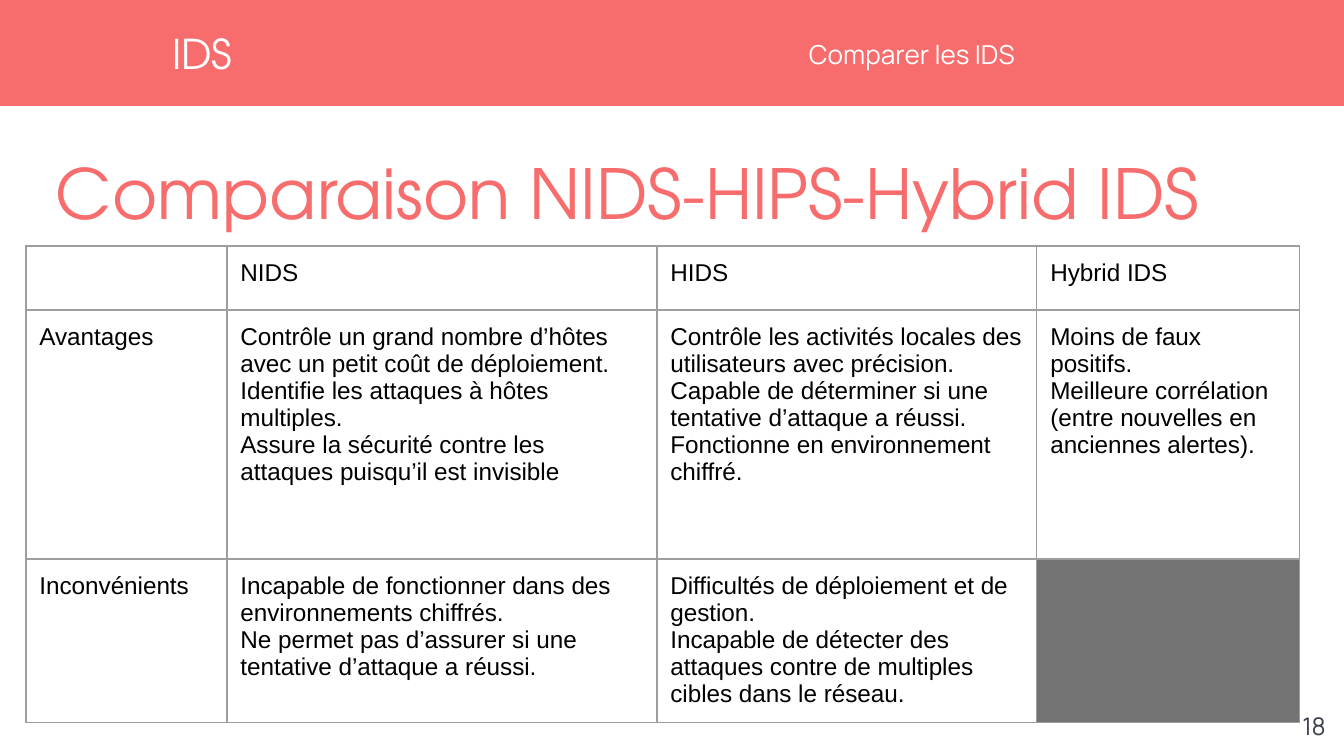
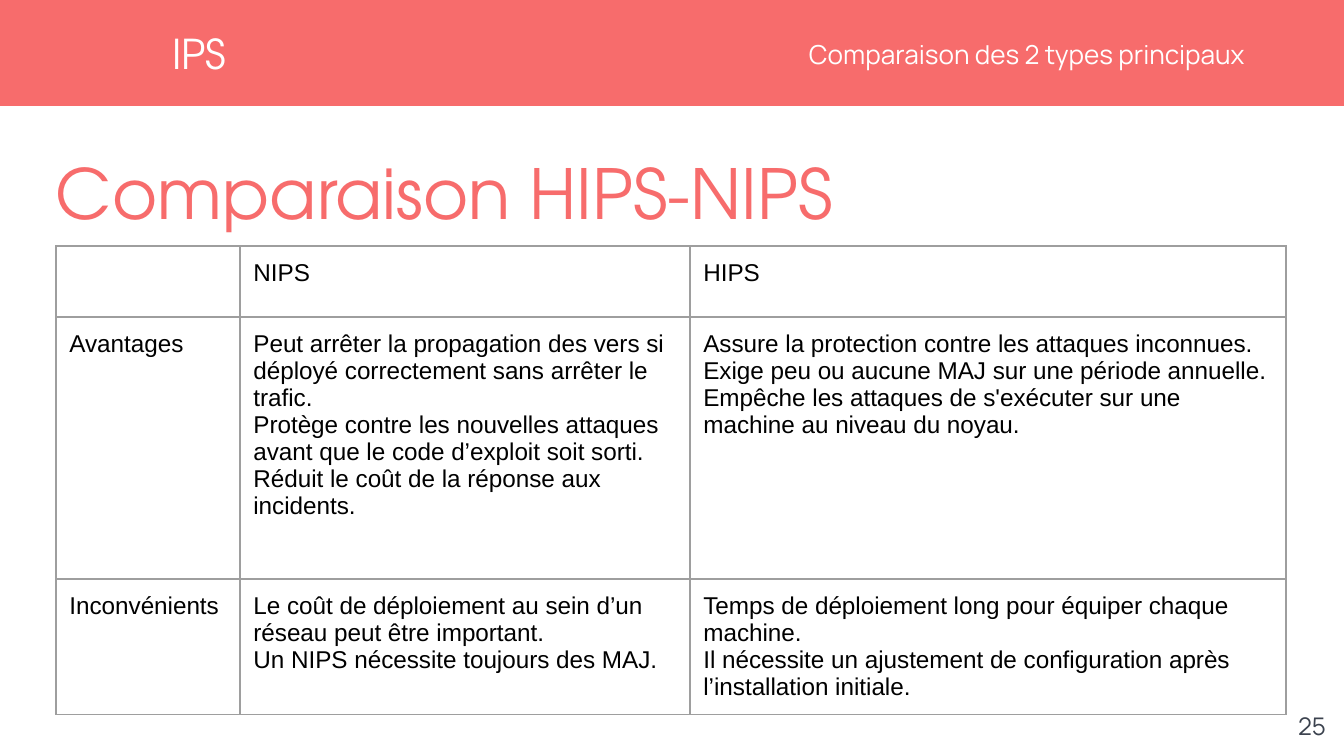
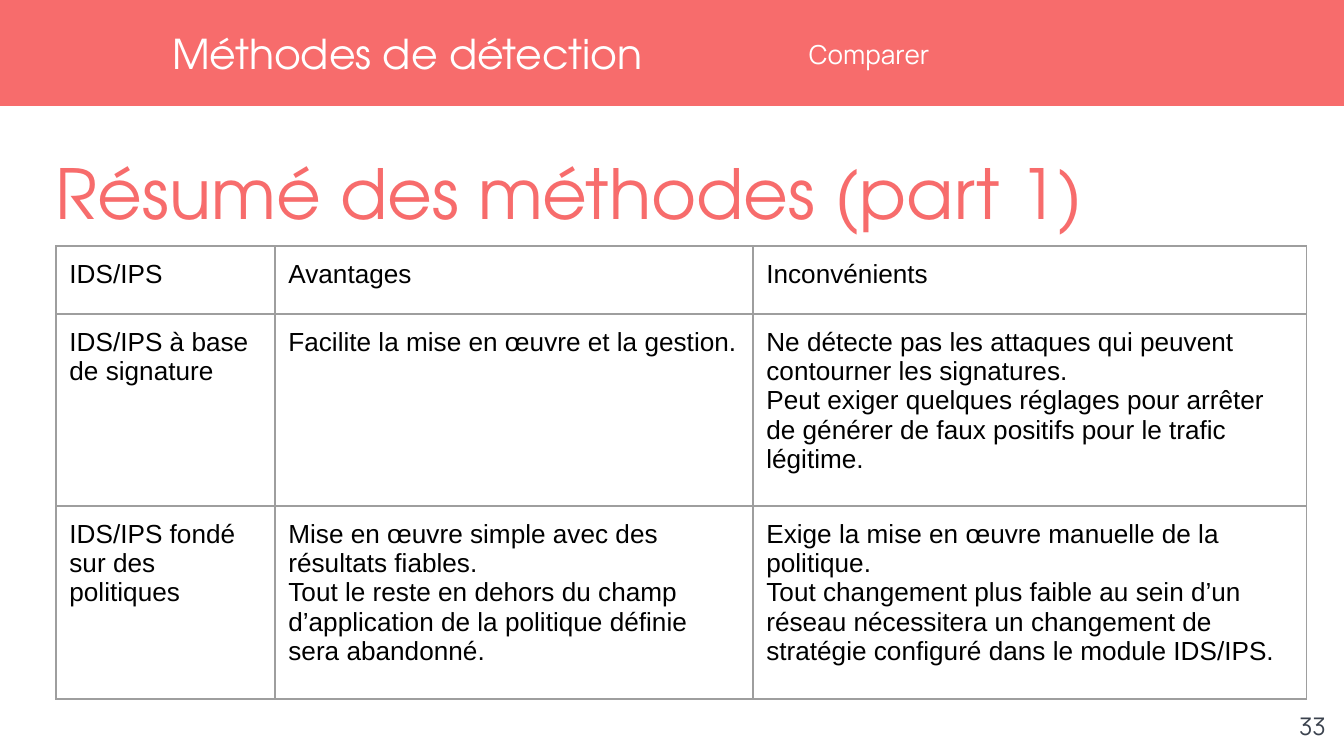
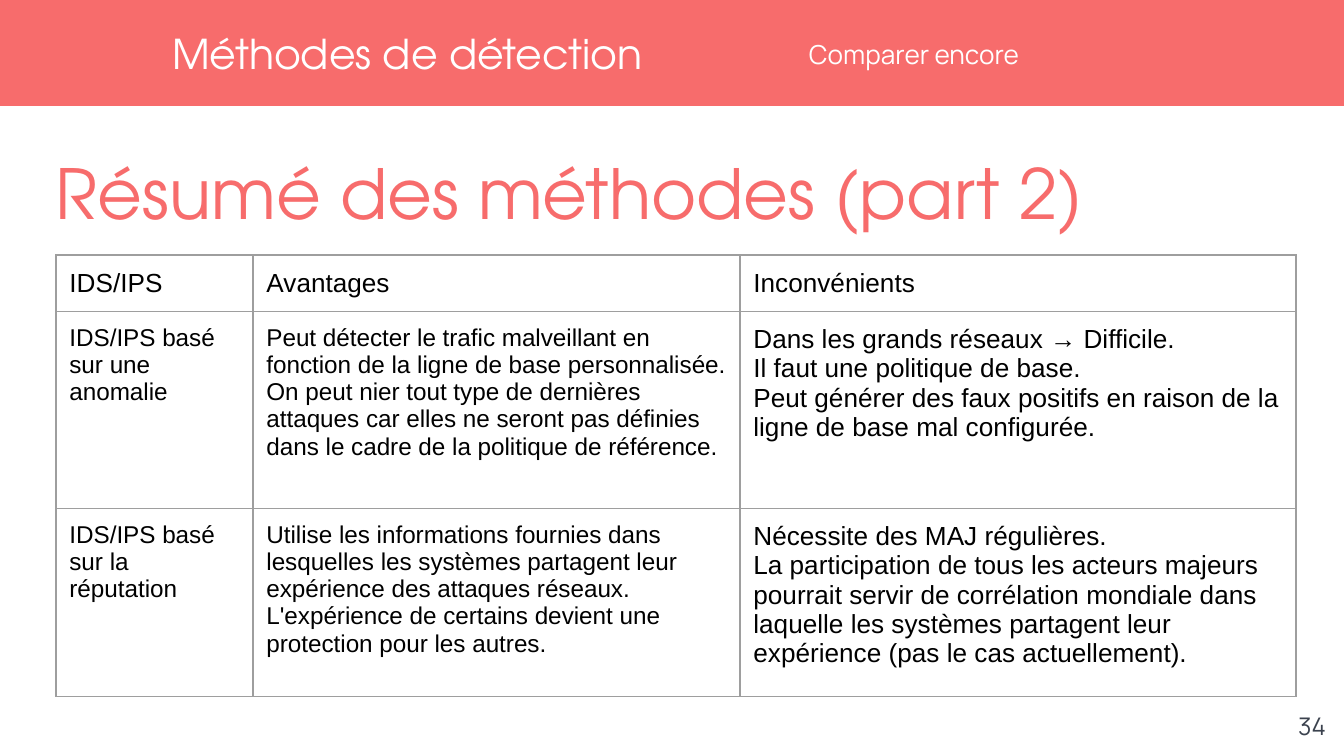
from dataclasses import dataclass

import lxml.etree
import pptx
import pptx.dml.color
import pptx.enum.shapes
import pptx.enum.text
import pptx.oxml.ns
import pptx.util

EMU_PER_PX = 914400 / 134.4
COMPARISON_LAYOUT = 4
TITLE, TOPIC, LEFT_CONTENT, CAPTION, RIGHT_CONTENT = range(5)
ANCHOR = pptx.enum.text.MSO_ANCHOR
ALIGN = pptx.enum.text.PP_ALIGN


@dataclass(frozen=True)
class Theme:
    coral: str = "F76C6C"
    white: str = "FFFFFF"
    black: str = "000000"
    slate: str = "3B424E"
    rule: str = "9E9E9E"
    blocked: str = "737373"
    display: str = "TeX Gyre Adventor"
    sans: str = "Manrope"
    table: str = "Arial"
    title_size: int = 37
    topic_size: int = 22
    caption_size: int = 14
    number_size: int = 13
    large: int = 14
    small: int = 13
    rule_width: float = 0.75
    cell_inset: float = 0.1


THEME = Theme()
PAGE = (0, 0, 1344, 756)
BLOCKED = None  # marks a cell that is filled and holds no text


def px(length):
    return pptx.util.Emu(round(length * EMU_PER_PX))


def rgb(code):
    return pptx.dml.color.RGBColor.from_string(code)


def apply(target, formats):
    for name, value in formats.items():
        setattr(target, name, value)


def place(shape, box):
    apply(shape, dict(zip(("left", "top", "width", "height"), map(px, box))))


def set_insets(target, inset):
    apply(target, {f"margin_{side}": pptx.util.Inches(inset)
                   for side in ("left", "right", "top", "bottom")})


def style_text(frame, font, size, color, align=ALIGN.LEFT):
    for para in frame.paragraphs:
        apply(para, {"alignment": align, "space_before": pptx.util.Pt(0)})
        for span in para.runs:
            apply(span.font, {"name": font, "size": pptx.util.Pt(size), "bold": False})
            span.font.color.rgb = rgb(color)


def write(shape, box, text, font, size, color, anchor=ANCHOR.TOP, inset=0, align=ALIGN.LEFT):
    place(shape, box)
    frame = shape.text_frame
    frame.text = text
    apply(frame, {"word_wrap": True, "vertical_anchor": anchor,
                  "auto_size": pptx.enum.text.MSO_AUTO_SIZE.NONE})
    set_insets(frame, inset)
    style_text(frame, font, size, color, align)


def add_band_to_layout(page):
    """Draw the header band and move it behind everything on the shared layout."""
    band = page.shapes.add_shape(pptx.enum.shapes.MSO_SHAPE.RECTANGLE, 0, 0, 1, 1)
    place(band, (-3, 0, 1350, 106))
    band.shadow.inherit = False
    band.fill.solid()
    band.fill.fore_color.rgb = rgb(THEME.coral)
    band.line.fill.background()
    page.slide_layout.shapes.element.insert(2, band.element)


def header(page, box, topic, caption):
    left, top, width, height = box
    holders = page.placeholders
    write(holders[TOPIC], (left + 172, top, 630, height), topic,
          THEME.display, THEME.topic_size, THEME.white, ANCHOR.MIDDLE)
    write(holders[CAPTION], (left + 809, top + 28, 516, 52), caption,
          THEME.sans, THEME.caption_size, THEME.white, ANCHOR.MIDDLE)


def page_number(page, box, number):
    left, top, width, height = box
    holder = page.shapes.add_textbox(0, 0, 1, 1)
    write(holder, (left + width - 86, top + height - 58, 81, 58), str(number), THEME.sans,
          THEME.number_size, THEME.slate, inset=THEME.cell_inset, align=ALIGN.RIGHT)


def rule_cell(cell):
    """Draw the four borders of a cell."""
    properties = cell._tc.get_or_add_tcPr()
    qn = pptx.oxml.ns.qn
    for side in ("L", "R", "T", "B"):
        line = lxml.etree.SubElement(properties, qn(f"a:ln{side}"),
                                     w=str(pptx.util.Pt(THEME.rule_width)))
        fill = lxml.etree.SubElement(line, qn("a:solidFill"))
        lxml.etree.SubElement(fill, qn("a:srgbClr"), val=THEME.rule)


def fill_cell(cell, text, size):
    rule_cell(cell)
    if text is BLOCKED:
        cell.fill.solid()
        cell.fill.fore_color.rgb = rgb(THEME.blocked)
    else:
        cell.fill.background()
    if text:
        cell.text = text
        set_insets(cell, THEME.cell_inset)
        style_text(cell.text_frame, THEME.table, size, THEME.black)


def comparison_table(page, origin, columns, rows, cells, header_size, column_sizes):
    box = (*origin, sum(columns), sum(rows))
    table = page.shapes.add_table(len(rows), len(columns), *map(px, box)).table
    apply(table, {"first_row": False, "horz_banding": False})
    for column, width in zip(table.columns, columns):
        column.width = px(width)
    for index, (row, height) in enumerate(zip(table.rows, rows)):
        row.height = px(height)
        for cell, text, size in zip(row.cells, cells[index], column_sizes):
            fill_cell(cell, text, size if index else header_size)


def comparison_page(page, number, topic, caption, title, **table):
    for unused in (LEFT_CONTENT, RIGHT_CONTENT):
        holder = page.placeholders[unused].element
        holder.getparent().remove(holder)
    header(page, (0, 0, PAGE[2], 106), topic, caption)
    write(page.shapes.title, (56, 150, 1245, 78), title,
          THEME.display, THEME.title_size, THEME.coral)
    page_number(page, PAGE, number)
    comparison_table(page, **table)


PAGES = [
    dict(
        number=18, topic="IDS", caption="Comparer les IDS",
        title="Comparaison NIDS-HIPS-Hybrid IDS",
        origin=(26, 246), columns=(201, 430, 380, 263), rows=(64, 249, 164),
        header_size=THEME.small, column_sizes=[THEME.small] * 4,
        cells=[
            ("", "NIDS", "HIDS", "Hybrid IDS"),
            ("Avantages",
             "Contrôle un grand nombre d’hôtes avec un petit coût de déploiement.\n"
             "Identifie les attaques à hôtes multiples.\n"
             "Assure la sécurité contre les attaques puisqu’il est invisible",
             "Contrôle les activités locales des utilisateurs avec précision.\n"
             "Capable de déterminer si une tentative d’attaque a réussi.\n"
             "Fonctionne en environnement chiffré.",
             "Moins de faux positifs.\n"
             "Meilleure corrélation (entre nouvelles en anciennes alertes)."),
            ("Inconvénients",
             "Incapable de fonctionner dans des environnements chiffrés.\n"
             "Ne permet pas d’assurer si une tentative d’attaque a réussi.",
             "Difficultés de déploiement et de gestion.\n"
             "Incapable de détecter des attaques contre de multiples cibles dans le réseau.",
             BLOCKED),
        ]),
    dict(
        number=25, topic="IPS", caption="Comparaison des 2 types principaux",
        title="Comparaison HIPS-NIPS",
        origin=(56, 246), columns=(184, 450, 596), rows=(71, 262, 135),
        header_size=THEME.small, column_sizes=[THEME.small] * 3,
        cells=[
            ("", "NIPS", "HIPS"),
            ("Avantages",
             "Peut arrêter la propagation des vers si déployé correctement sans arrêter "
             "le trafic.\n"
             "Protège contre les nouvelles attaques avant que le code d’exploit soit sorti.\n"
             "Réduit le coût de la réponse aux incidents.",
             "Assure la protection contre les attaques inconnues.\n"
             "Exige peu ou aucune MAJ sur une période annuelle.\n"
             "Empêche les attaques de s'exécuter sur une machine au niveau du noyau."),
            ("Inconvénients",
             "Le coût de déploiement au sein d’un réseau peut être important.\n"
             "Un NIPS nécessite toujours des MAJ.",
             "Temps de déploiement long pour équiper chaque machine.\n"
             "Il nécessite un ajustement de configuration après l’installation initiale."),
        ]),
    dict(
        number=33, topic="Méthodes de détection", caption="Comparer",
        title="Résumé des méthodes (part 1)",
        origin=(56, 246), columns=(219, 478, 554), rows=(68, 192, 193),
        header_size=THEME.large, column_sizes=[THEME.large] * 3,
        cells=[
            ("IDS/IPS", "Avantages", "Inconvénients"),
            ("IDS/IPS à base de signature",
             "Facilite la mise en œuvre et la gestion.",
             "Ne détecte pas les attaques qui peuvent contourner les signatures.\n"
             "Peut exiger quelques réglages pour arrêter de générer de faux positifs "
             "pour le trafic légitime."),
            ("IDS/IPS fondé sur des politiques",
             "Mise en œuvre simple avec des résultats fiables.\n"
             "Tout le reste en dehors du champ d’application de la politique définie "
             "sera abandonné.",
             "Exige la mise en œuvre manuelle de la politique.\n"
             "Tout changement plus faible au sein d’un réseau nécessitera un changement "
             "de stratégie configuré dans le module IDS/IPS."),
        ]),
    dict(
        number=34, topic="Méthodes de détection", caption="Comparer encore",
        title="Résumé des méthodes (part 2)",
        origin=(56, 255), columns=(197, 487, 556), rows=(56, 197, 188),
        header_size=THEME.large, column_sizes=[THEME.small, THEME.small, THEME.large],
        cells=[
            ("IDS/IPS", "Avantages", "Inconvénients"),
            ("IDS/IPS basé sur une anomalie",
             "Peut détecter le trafic malveillant en fonction de la ligne de base "
             "personnalisée.\n"
             "On peut nier tout type de dernières attaques car elles ne seront pas "
             "définies dans le cadre de la politique de référence.",
             "Dans les grands réseaux → Difficile.\n"
             "Il faut une politique de base.\n"
             "Peut générer des faux positifs en raison de la ligne de base mal configurée."),
            ("IDS/IPS basé sur la réputation",
             "Utilise les informations fournies dans lesquelles les systèmes partagent "
             "leur expérience des attaques réseaux.\n"
             "L'expérience de certains devient une protection pour les autres.",
             "Nécessite des MAJ régulières.\n"
             "La participation de tous les acteurs majeurs pourrait servir de corrélation "
             "mondiale dans laquelle les systèmes partagent leur expérience "
             "(pas le cas actuellement)."),
        ]),
]


def main():
    deck = pptx.Presentation()
    apply(deck, {"slide_width": px(PAGE[2]), "slide_height": px(PAGE[3])})
    layout = deck.slide_layouts[COMPARISON_LAYOUT]
    pages = [deck.slides.add_slide(layout) for _ in PAGES]
    add_band_to_layout(pages[0])
    for page, content in zip(pages, PAGES):
        comparison_page(page, **content)
    deck.save("out.pptx")


if __name__ == "__main__":
    main()
